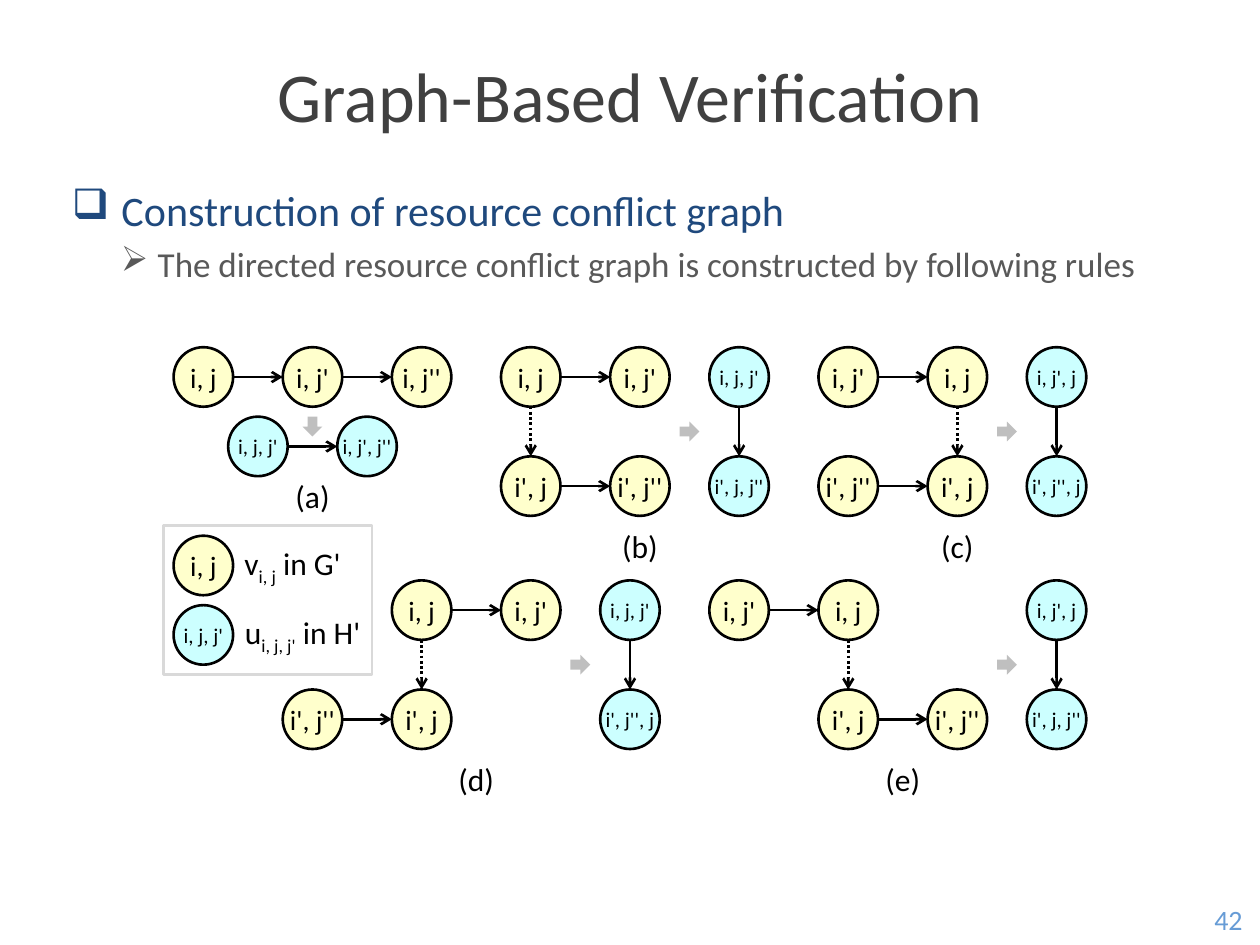
from lxml.etree import SubElement
from pptx import Presentation
from pptx.dml.color import RGBColor
from pptx.enum.dml import MSO_LINE
from pptx.enum.shapes import MSO_CONNECTOR, MSO_SHAPE as SHAPE
from pptx.enum.text import MSO_ANCHOR as ANCHOR, PP_ALIGN as ALIGN
from pptx.oxml.ns import qn
from pptx.util import Cm, Pt

BLACK = RGBColor(0, 0, 0)
YELLOW = RGBColor(0xFF, 0xFF, 0xCC)
CYAN = RGBColor(0xCC, 0xFF, 0xFF)
GRAY = RGBColor(0xBF, 0xBF, 0xBF)
FRAME = RGBColor(0xD9, 0xD9, 0xD9)
DARK = RGBColor(0x40, 0x40, 0x40)
NAVY = RGBColor(0x1F, 0x49, 0x7D)
SLATE = RGBColor(0x59, 0x59, 0x59)
BLUE = RGBColor(0x67, 0x9C, 0xD6)

TITLE = "Graph-Based Verification"
# text, bullet, size, colour, indent, hanging, space before
BODY = [
    ("Construction of resource conflict graph", "❑", 24, NAVY, 1.0, 1.0, 0),
    ("The directed resource conflict graph is constructed by following rules",
     "➢", 20, SLATE, 1.73, 0.74, 4),
]
PAGE = "42"

# All lengths below are in centimetres.
SIZE = 1.2          # circle diameter
STEP = 2.2          # distance between neighbouring circles
ARROW = 0.4         # block arrow
CHAIN = ["i, j", "i, j'", "i, j''"]
PAIRS = ["i, j, j'", "i, j', j''"]
CHAIN_AT = (3.5, 7.0)
# name, left, top, name's left, first column of each row, rows,
# column of the dotted edge, offset of the result, result
RULES = [
    ("(b)", 10.1, 7.0, 12.5, (0, 0), (("i, j", "i, j'"), ("i', j", "i', j''")),
     0, 4.2, ("i, j, j'", "i', j, j''")),
    ("(c)", 16.5, 7.0, 18.9, (0, 0), (("i, j'", "i, j"), ("i', j''", "i', j")),
     1, 4.2, ("i, j', j", "i', j'', j")),
    ("(d)", 7.9, 11.7, 9.2, (0, -1), (("i, j", "i, j'"), ("i', j''", "i', j")),
     0, 4.2, ("i, j, j'", "i', j'', j")),
    ("(e)", 14.3, 11.7, 17.8, (0, 1), (("i, j'", "i, j"), ("i', j", "i', j''")),
     1, 6.4, ("i, j', j", "i', j, j''")),
]
# symbol, index, rest, text width, circle text, is a pair
LEGEND = [
    ("v", "i, j", " in G'", 2.2, "i, j", False),
    ("u", "i, j, j'", " in H'", 2.6, "i, j, j'", True),
]

prs = Presentation()
prs.slide_width, prs.slide_height = Cm(25.4), Cm(19.05)
slide = prs.slides.add_slide(prs.slide_layouts[6])
shapes = slide.shapes


def style(para, size, color):
    for run in para.runs:
        run.font.name = "Calibri"
        run.font.size = Pt(size)
        run.font.color.rgb = color


def strip(frame):
    frame.margin_left = frame.margin_right = 0
    frame.margin_top = frame.margin_bottom = 0


def box(x, y, w, h, text="", size=18, color=BLACK, inset=False):
    """Add a text box, centred both ways."""
    frame = shapes.add_textbox(Cm(x), Cm(y), Cm(w), Cm(h)).text_frame
    frame.word_wrap = True
    frame.vertical_anchor = ANCHOR.MIDDLE
    if not inset:
        strip(frame)
    frame.text = text
    para = frame.paragraphs[0]
    para.alignment = ALIGN.CENTER
    style(para, size, color)
    return frame


def block(kind, x, y, w, h, fill=None, line=None):
    shape = shapes.add_shape(kind, Cm(x), Cm(y), Cm(w), Cm(h))
    shape.shadow.inherit = False
    if fill is None:
        shape.fill.background()
    else:
        shape.fill.solid()
        shape.fill.fore_color.rgb = fill
    if line is None:
        shape.line.fill.background()
    else:
        shape.line.color.rgb = line
        shape.line.width = Pt(1.5)
    return shape


def node(x, y, text, pair=False):
    shape = block(SHAPE.OVAL, x, y, SIZE, SIZE, CYAN if pair else YELLOW, BLACK)
    frame = shape.text_frame
    strip(frame)
    frame.word_wrap = False
    frame.vertical_anchor = ANCHOR.MIDDLE
    frame.text = text
    frame.paragraphs[0].alignment = ALIGN.CENTER
    style(frame.paragraphs[0], 12 if pair else 16, BLACK)


def edge(x, y, down=False, dotted=False):
    """Add an arrow from the circle at x, y to its right or lower neighbour."""
    if down:
        ends = x + SIZE / 2, y + SIZE, x + SIZE / 2, y + STEP
    else:
        ends = x + SIZE, y + SIZE / 2, x + STEP, y + SIZE / 2
    link = shapes.add_connector(MSO_CONNECTOR.STRAIGHT, *map(Cm, ends))
    link.line.color.rgb = BLACK
    link.line.width = Pt(1.5)
    if dotted:
        link.line.dash_style = MSO_LINE.ROUND_DOT
    props = link._element.spPr
    SubElement(props.find(qn("a:ln")), qn("a:tailEnd"), type="arrow")
    SubElement(props, qn("a:effectLst"))


def chain(x, y, names, pair=False):
    for i, name in enumerate(names):
        node(x + i * STEP, y, name, pair)
        if i:
            edge(x + (i - 1) * STEP, y)


def rule(name, x, y, label, starts, rows, dot, shift, result):
    for i, (start, row) in enumerate(zip(starts, rows)):
        chain(x + start * STEP, y + i * STEP, row)
        node(x + shift, y + i * STEP, result[i], True)
    edge(x + dot * STEP, y, down=True, dotted=True)
    edge(x + shift, y, down=True)
    block(SHAPE.RIGHT_ARROW, x + shift - 0.6, y + 1.5, ARROW, ARROW, GRAY)
    box(label, y + 3.7, 0.8, 0.6, name)


# Heading, bullets and page number
box(1.2, 0.7, 23, 2.4, TITLE, 40, DARK, inset=True)
frame = box(1.2, 3.6, 23, 14.4, inset=True)
frame.vertical_anchor = ANCHOR.TOP
for i, (text, mark, size, color, indent, hang, gap) in enumerate(BODY):
    para = frame.add_paragraph() if i else frame.paragraphs[0]
    para.text = text
    para.alignment = ALIGN.LEFT
    para.space_before = Pt(gap)
    props = para._p.get_or_add_pPr()
    props.set("marL", str(Cm(indent)))
    props.set("indent", str(-Cm(hang)))
    SubElement(props, qn("a:buChar"), char=mark)
    style(para, size, color)
box(24.13, 18.03, 1.27, 1.02, PAGE, 16, BLUE, inset=True)

# Legend
for i, (symbol, index, rest, width, text, pair) in enumerate(LEGEND):
    y = 10.8 + i * 1.4
    node(3.5, y, text, pair)
    para = box(4.8, y + 0.3, width, 0.6).paragraphs[0]
    for part in (symbol, index, rest):
        para.add_run().text = part
    style(para, 18, BLACK)
    para.runs[1]._r.get_or_add_rPr().set("baseline", "-25000")
block(SHAPE.RECTANGLE, 3.3, 10.6, 4.2, 3, line=FRAME)

# Rule (a), then the four rules with two rows
x, y = CHAIN_AT
chain(x, y, CHAIN)
chain(x + STEP / 2, y + 1.4, PAIRS, True)
block(SHAPE.DOWN_ARROW, x + 2.6, y + 1.4, ARROW, ARROW, GRAY)
box(x + 2.4, y + 2.7, 0.8, 0.6, "(a)")
for item in RULES:
    rule(*item)

prs.save("out.pptx")
